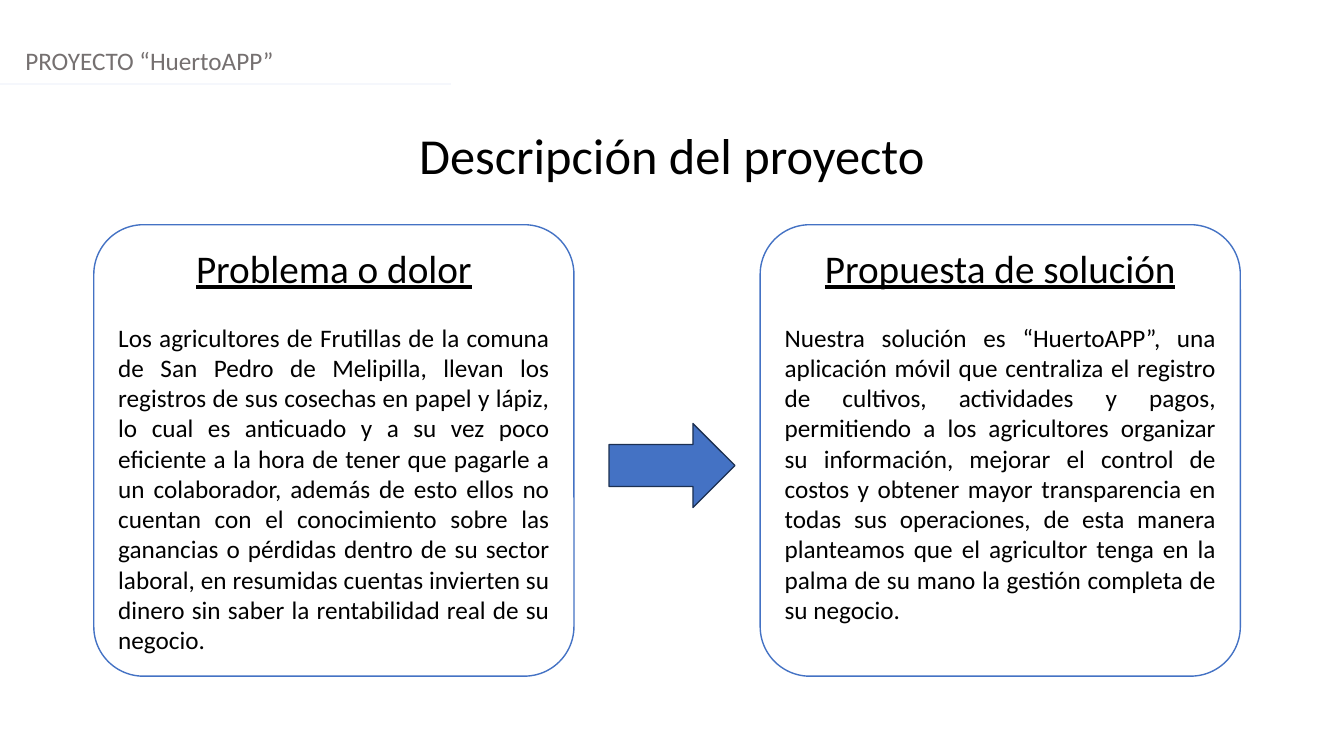
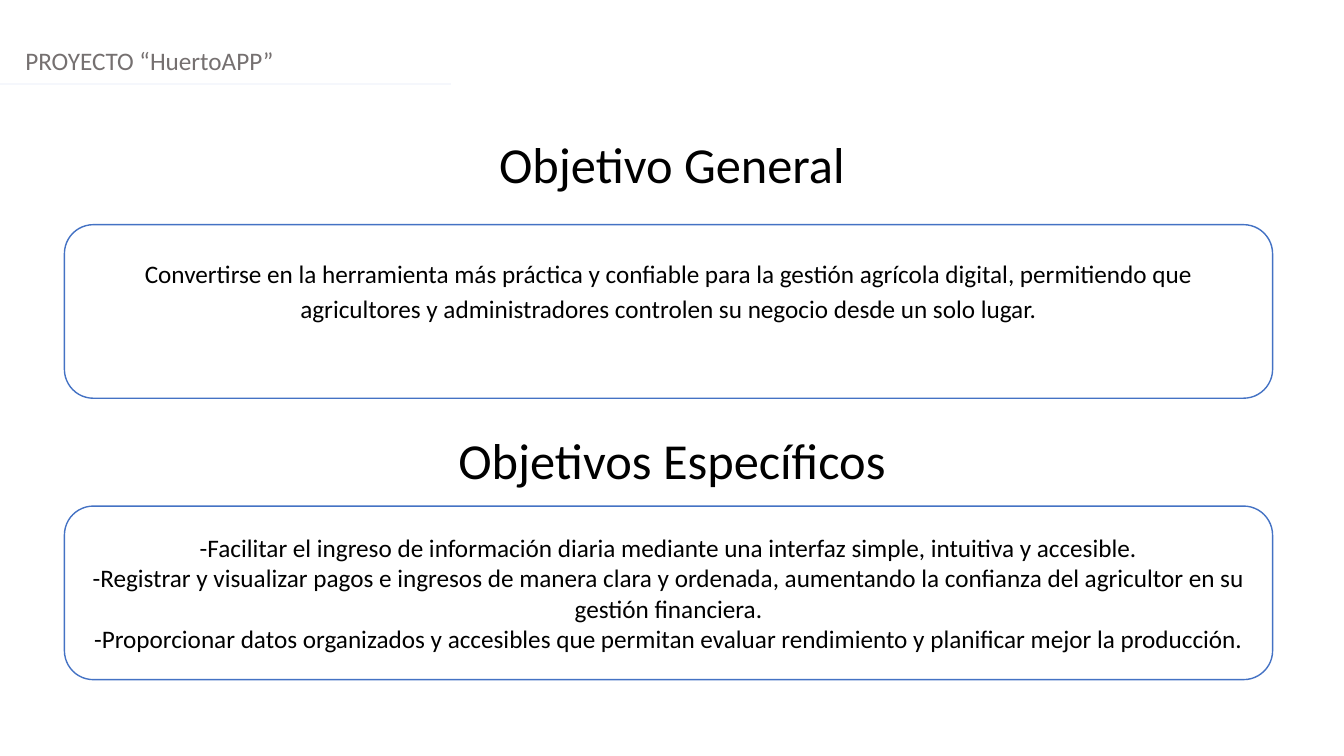
from pptx import Presentation
from pptx.dml.color import RGBColor
from pptx.enum.shapes import MSO_CONNECTOR, MSO_SHAPE
from pptx.enum.text import MSO_ANCHOR, MSO_AUTO_SIZE, PP_ALIGN
from pptx.oxml.ns import qn
from pptx.util import Pt
from lxml import etree

STRAIGHT = MSO_CONNECTOR.STRAIGHT
ROUNDED = MSO_SHAPE.ROUNDED_RECTANGLE
RIGHT_ARROW = MSO_SHAPE.RIGHT_ARROW
TOP, MIDDLE = MSO_ANCHOR.TOP, MSO_ANCHOR.MIDDLE
LEFT, CENTER, JUSTIFY = PP_ALIGN.LEFT, PP_ALIGN.CENTER, PP_ALIGN.JUSTIFY

FONT = "Calibri"
WHITE, BLACK, GRAY = "FFFFFF", "000000", "757070"
BLUE, NAVY, PALE = "4472C4", "1C3052", "F5F7FC"
SLIDE_WIDTH, SLIDE_HEIGHT = 960, 540
PROJECT = "PROYECTO “HuertoAPP”"
HEADING_HEIGHT = 51
PANEL_TOP = 160.5


def write(shape, lines, size=18, color=BLACK, align=CENTER, anchor=TOP,
          underline=False, before=0, spacing=1.0, bottom=3.6, append=False):
    """Write each line as a paragraph, after the present ones if append is set."""
    frame = shape.text_frame
    frame.word_wrap = True
    frame.auto_size = MSO_AUTO_SIZE.NONE
    frame.vertical_anchor = anchor
    frame.margin_left = frame.margin_right = Pt(7.2)
    frame.margin_top, frame.margin_bottom = Pt(3.6), Pt(bottom)
    for number, line in enumerate(lines):
        para = frame.add_paragraph() if append or number else frame.paragraphs[0]
        para.alignment = align
        para.space_before = Pt(before)
        para.line_spacing = spacing
        span = para.add_run()
        span.text = line
        span.font.name = FONT
        span.font.size = Pt(size)
        span.font.underline = underline
        span.font.color.rgb = RGBColor.from_string(color)


def add_block(page, kind, left, top, width, height, fill, line):
    shape = page.shapes.add_shape(kind, Pt(left), Pt(top), Pt(width), Pt(height))
    shape.shadow.inherit = False
    shape.fill.solid()
    shape.fill.fore_color.rgb = RGBColor.from_string(fill)
    shape.line.color.rgb = RGBColor.from_string(line)
    shape.line.width = Pt(1)
    return shape


deck = Presentation()
deck.slide_width, deck.slide_height = Pt(SLIDE_WIDTH), Pt(SLIDE_HEIGHT)

# Header and title of every page
pages = []
for title_text, title_top in [("Descripción del proyecto", 85), ("Objetivo General", 91.5)]:
    page = deck.slides.add_slide(deck.slide_layouts[5])
    title = page.shapes.title
    title.left, title.top = Pt(0), Pt(title_top)
    title.width, title.height = Pt(SLIDE_WIDTH), Pt(HEADING_HEIGHT)
    write(title, [title_text], size=36)

    header = page.shapes.add_textbox(Pt(11), Pt(29), Pt(940), Pt(29))
    write(header, [PROJECT], color=GRAY, align=LEFT)

    rule = page.shapes.add_connector(STRAIGHT, Pt(0), Pt(60), Pt(322), Pt(60))
    rule.line.color.rgb = RGBColor.from_string(PALE)
    rule.line.width = Pt(1.25)
    properties = rule._element.find(qn("p:spPr"))
    etree.SubElement(properties, qn("a:effectLst"))
    pages.append(page)

description, objectives = pages

# Problem and solution, joined by an arrow
columns = [
    ("Problema o dolor",
     "Los agricultores de Frutillas de la comuna de San Pedro de Melipilla, llevan los "
     "registros de sus cosechas en papel y lápiz, lo cual es anticuado y a su vez poco "
     "eficiente a la hora de tener que pagarle a un colaborador, además de esto ellos no "
     "cuentan con el conocimiento sobre las ganancias o pérdidas dentro de su sector "
     "laboral, en resumidas cuentas invierten su dinero sin saber la rentabilidad real de "
     "su negocio."),
    ("Propuesta de solución",
     "Nuestra solución es “HuertoAPP”, una aplicación móvil que centraliza el registro de "
     "cultivos, actividades y pagos, permitiendo a los agricultores organizar su "
     "información, mejorar el control de costos y obtener mayor transparencia en todas sus "
     "operaciones, de esta manera planteamos que el agricultor tenga en la palma de su mano "
     "la gestión completa de su negocio."),
]
for index, (heading, body) in enumerate(columns):
    panel = add_block(description, ROUNDED, 67 + 476 * index, PANEL_TOP, 343, 322.5, WHITE, BLUE)
    panel.adjustments[0] = 0.11
    write(panel, [heading], size=28, underline=True)
    write(panel, [body], align=JUSTIFY, before=22, append=True)
add_block(description, RIGHT_ARROW, 435, 302.5, 90, 60, BLUE, NAVY)

# General and specific objectives
second_heading = objectives.shapes.add_textbox(
    Pt(0), Pt(303), Pt(SLIDE_WIDTH), Pt(HEADING_HEIGHT))
write(second_heading, ["Objetivos Específicos"], size=36)

general = [
    "Convertirse en la herramienta más práctica y confiable para la gestión agrícola "
    "digital, permitiendo que agricultores y administradores controlen su negocio desde un "
    "solo lugar.",
]
specific = [
    "-Facilitar el ingreso de información diaria mediante una interfaz simple, intuitiva y "
    "accesible.",
    "-Registrar y visualizar pagos e ingresos de manera clara y ordenada, aumentando la "
    "confianza del agricultor en su gestión financiera.",
    "-Proporcionar datos organizados y accesibles que permitan evaluar rendimiento y "
    "planificar mejor la producción.",
]
for top, lines, spacing, bottom in [(PANEL_TOP, general, 1.15, 35.6),
                                    (361.5, specific, 1.0, 3.6)]:
    panel = add_block(objectives, ROUNDED, 46, top, 863, 124, WHITE, BLUE)
    write(panel, lines, anchor=MIDDLE, spacing=spacing, bottom=bottom)

deck.save("out.pptx")
